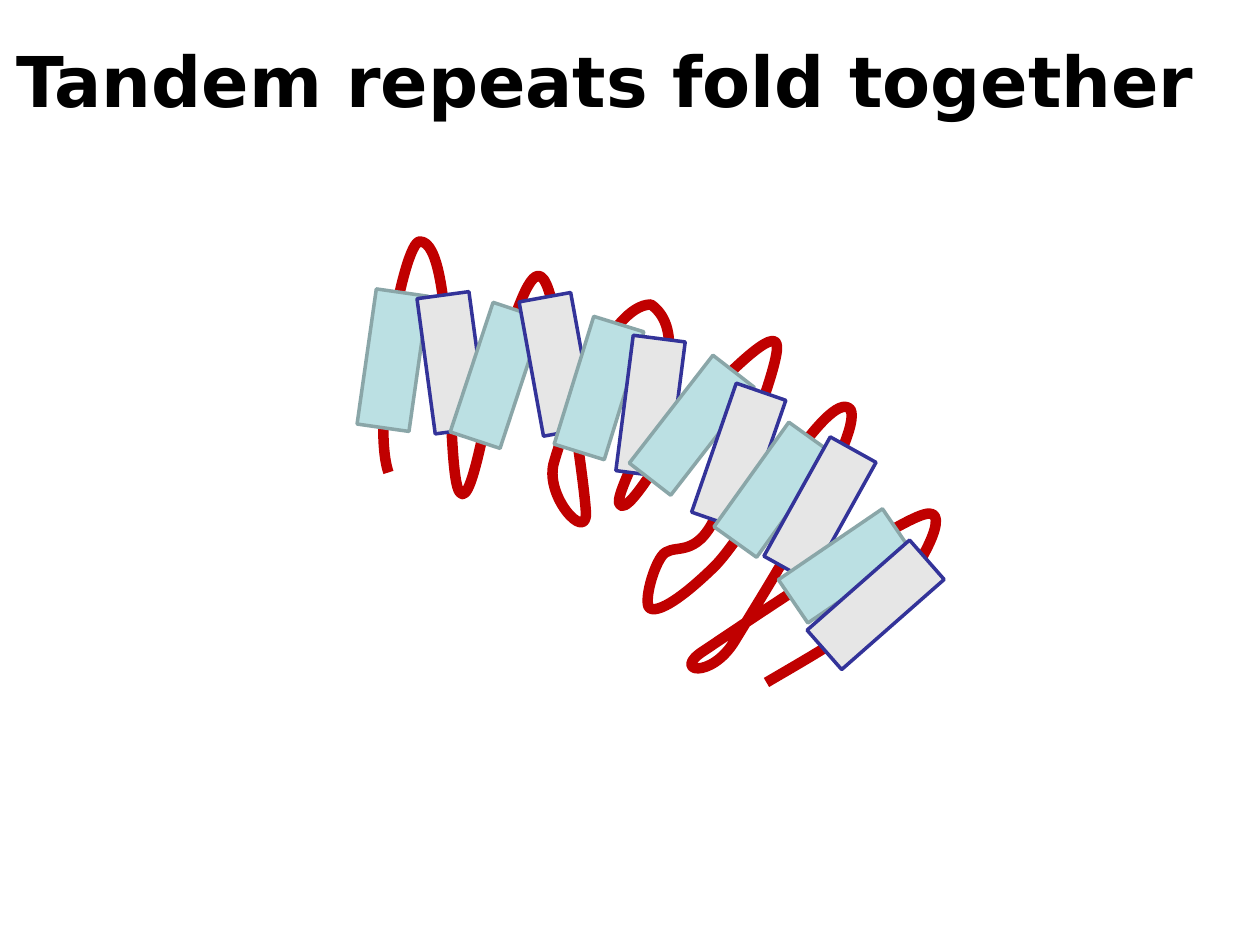
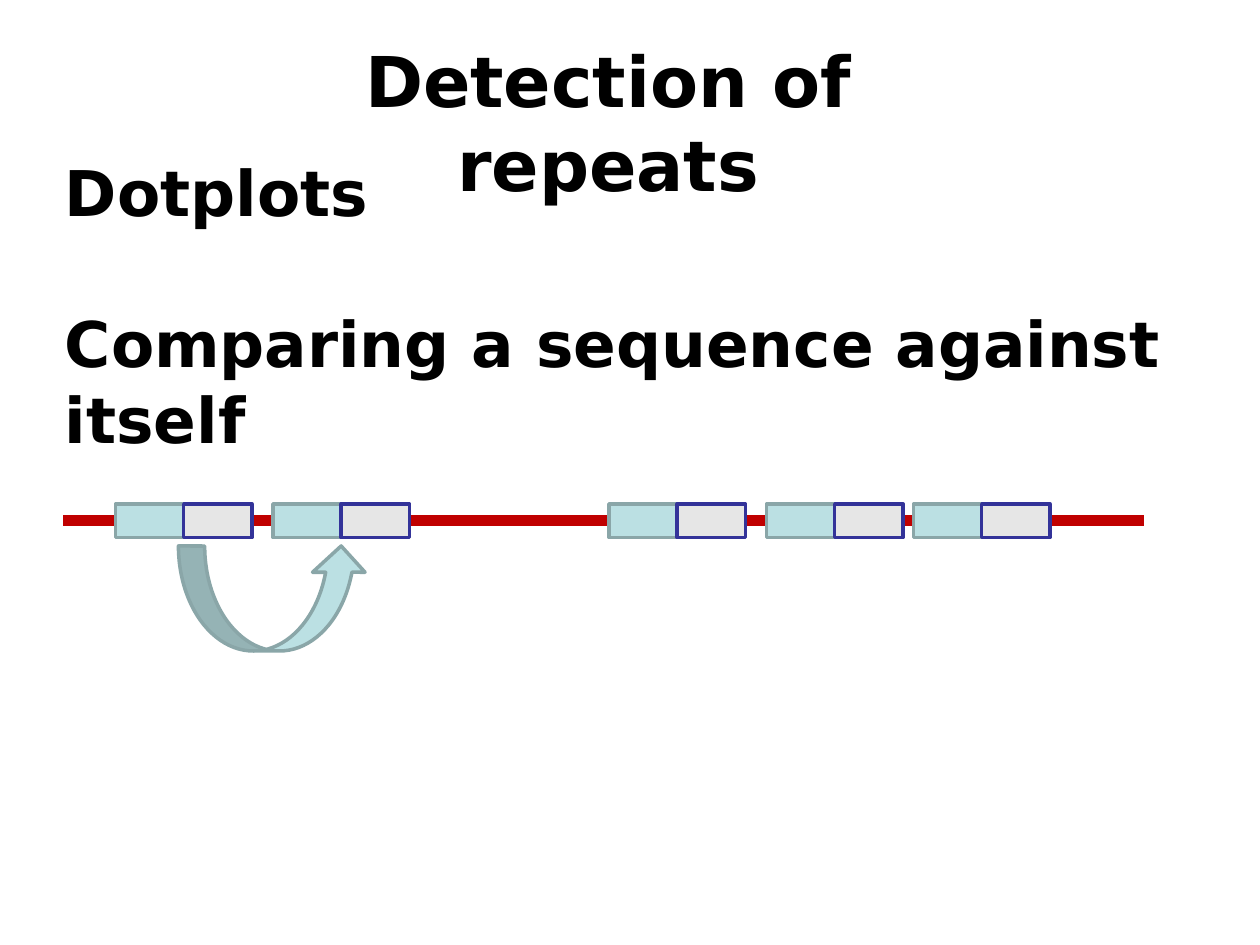
from typing import NamedTuple

from pptx import Presentation
from pptx.dml.color import RGBColor
from pptx.enum.shapes import MSO_CONNECTOR, MSO_SHAPE
from pptx.enum.text import MSO_AUTO_SIZE, PP_ALIGN
from pptx.oxml.ns import qn
from pptx.oxml.xmlchemy import OxmlElement
from pptx.util import Emu, Inches, Pt

FONT = "DejaVu Sans"
BLACK = RGBColor(0x00, 0x00, 0x00)
RED = RGBColor(0xC0, 0x00, 0x00)
AQUA = RGBColor(0xBB, 0xE0, 0xE3)
TEAL = RGBColor(0x8A, 0xA6, 0xA8)
GREY = RGBColor(0xE6, 0xE6, 0xE6)
NAVY = RGBColor(0x33, 0x33, 0x99)

# The slide is a grid of 240 columns by 180 rows
WIDTH, HEIGHT = Inches(10), Inches(7.5)
CELL = WIDTH / 240


class Look(NamedTuple):
    fill: RGBColor
    edge: RGBColor


class Helix(NamedTuple):
    """A rotated bar, placed by its centre."""
    col: float
    row: float
    angle: float
    length: float = 26


class Bend(NamedTuple):
    """A cubic curve: two handles, then its end."""
    x1: float
    y1: float
    x2: float
    y2: float
    x: float
    y: float


FIRST, SECOND = Look(AQUA, TEAL), Look(GREY, NAVY)

# Folded helices in chain order; the two looks alternate
FOLD = [
    Helix(74.8, 68.6, 278.1), Helix(86.1, 69.1, 82.3),
    Helix(94.6, 71.5, 288.3), Helix(106.1, 69.4, 79.7),
    Helix(114.1, 73.9, 287.2, 25.5), Helix(123.9, 77.4, 97.3),
    Helix(131.8, 81, 307.8), Helix(140.7, 86.9, 109.1),
    Helix(147.2, 93.3, 305.6, 24.5), Helix(156.2, 97, 299.1),
    Helix(161, 107.8, 325.7, 24), Helix(166.8, 115.2, 318.7),
]

# Chain that links the helices
START = (74, 90)
CHAIN = [
    Bend(70.6, 80.2, 76.8, 45.8, 80, 46),
    Bend(87.1, 46, 84.7, 90.5, 87.6, 93.8),
    Bend(90.2, 97.2, 93.4, 72.7, 96, 66),
    Bend(98.6, 59.3, 101.5, 48.7, 104, 54),
    Bend(106.6, 59.3, 111.4, 92.2, 111.6, 97.7),
    Bend(111.8, 103.4, 103.4, 94.3, 105.6, 87.8),
    Bend(107.5, 81.1, 115.9, 58, 124, 58),
    Bend(134.9, 65.8, 116.4, 93.1, 118, 96),
    Bend(119.8, 99.1, 128.9, 81.1, 134, 76),
    Bend(139, 71, 147.8, 61.9, 148, 66),
    Bend(148.3, 70.1, 139.2, 93.1, 135.6, 99.8),
    Bend(131.8, 106.6, 127.9, 103.2, 126, 106),
    Bend(124.1, 108.7, 122.4, 115.7, 124, 116),
    Bend(125.8, 116.4, 129.6, 114.2, 136, 108),
    Bend(142.3, 101.8, 157.9, 73.4, 162, 78),
    Bend(164.6, 82.8, 144.7, 114.2, 140, 122),
    Bend(135.4, 129.6, 127.9, 127.9, 134, 124),
    Bend(140, 120, 170, 99.6, 176, 98),
    Bend(181.9, 96.2, 175, 108.7, 170, 114),
    Bend(164.9, 119.3, 151.9, 126.5, 146, 130),
]

# Repeats along the straight sequence
REPEATS = [22, 52, 116, 146, 174]
UNIT = 13


def grid(count: float) -> Emu:
    return Emu(round(count * CELL))


def write(slide, lines: list[str], col: float, row: float, wide: float, high: float,
          *, size: float, align=PP_ALIGN.LEFT, gap: float = 0) -> None:
    """Bold text box; gap is the space in points between paragraphs."""
    box = slide.shapes.add_textbox(grid(col), grid(row), grid(wide), grid(high))
    frame = box.text_frame
    frame.word_wrap = True
    frame.auto_size = MSO_AUTO_SIZE.SHAPE_TO_FIT_TEXT
    for i, line in enumerate(lines):
        para = frame.add_paragraph() if i else frame.paragraphs[0]
        para.alignment = align
        if i:
            para.space_before = Pt(gap)
        run = para.add_run()
        run.text = line
        font = run.font
        font.name, font.size, font.bold = FONT, Pt(size), True
        font.color.rgb = BLACK


def title(slide, text: str, col: float, wide: float) -> None:
    write(slide, [text], col, 6, wide, 18.5, size=40, align=PP_ALIGN.CENTER)


def block(slide, look: Look, col: float, row: float, wide: float, high: float,
          kind=MSO_SHAPE.RECTANGLE, angle: float = 0):
    shape = slide.shapes.add_shape(kind, grid(col), grid(row), grid(wide), grid(high))
    shape.shadow.inherit = False
    shape.fill.solid()
    shape.fill.fore_color.rgb = look.fill
    shape.line.color.rgb = look.edge
    shape.line.width = Pt(2)
    shape.rotation = angle
    return shape


def thick(line) -> None:
    line.color.rgb = RED
    line.width = Pt(6)


def curve(slide, start: tuple[float, float], bends: list[Bend]) -> None:
    """Open red line of joined cubic curves."""
    pen = slide.shapes.build_freeform(grid(start[0]), grid(start[1]))
    spots = [(grid(x), grid(y)) for b in bends
             for x, y in (b[:2], b[2:4], b[4:])]
    pen.add_line_segments(spots, close=False)
    shape = pen.convert_to_shape()
    shape.shadow.inherit = False
    shape.fill.background()
    thick(shape.line)
    # Join each three points into one cubic curve
    route = next(shape.element.iter(qn("a:path")))
    legs = route.findall(qn("a:lnTo"))
    for i in range(0, len(legs), 3):
        cubic = OxmlElement("a:cubicBezTo")
        for leg in legs[i:i + 3]:
            cubic.append(leg[0])
            route.remove(leg)
        route.append(cubic)


def folded(slide) -> None:
    # Chain behind the title and helices
    curve(slide, START, CHAIN)
    title(slide, "Tandem repeats fold together", 0, 230.4)
    for i, h in enumerate(FOLD):
        block(slide, SECOND if i % 2 else FIRST, h.col - h.length / 2, h.row - 5,
              h.length, 10, angle=h.angle)


def detect(slide) -> None:
    title(slide, "Detection of repeats", 36.5, 158.6)
    write(slide, ["Dotplots", "Comparing a sequence against itself"],
          10, 28, 218, 65.5, size=36, gap=43.5)
    # Sequence line with its repeats
    line = slide.shapes.add_connector(MSO_CONNECTOR.STRAIGHT, grid(12), grid(99.1),
                                      grid(218), grid(99.1))
    thick(line.line)
    line.element.spPr.append(OxmlElement("a:effectLst"))
    for col in REPEATS:
        for i, look in enumerate((FIRST, SECOND)):
            block(slide, look, col + i * UNIT, 96, UNIT, 6.4)
    # Arrow from the first repeat to the second
    arrow = block(slide, FIRST, 34, 104, 36, 20, MSO_SHAPE.CURVED_DOWN_ARROW)
    arrow.element.spPr.xfrm.set("flipV", "1")


def main() -> None:
    deck = Presentation()
    deck.slide_width, deck.slide_height = WIDTH, HEIGHT
    for draw in (folded, detect):
        draw(deck.slides.add_slide(deck.slide_layouts[6]))
    deck.save("out.pptx")


if __name__ == "__main__":
    main()
